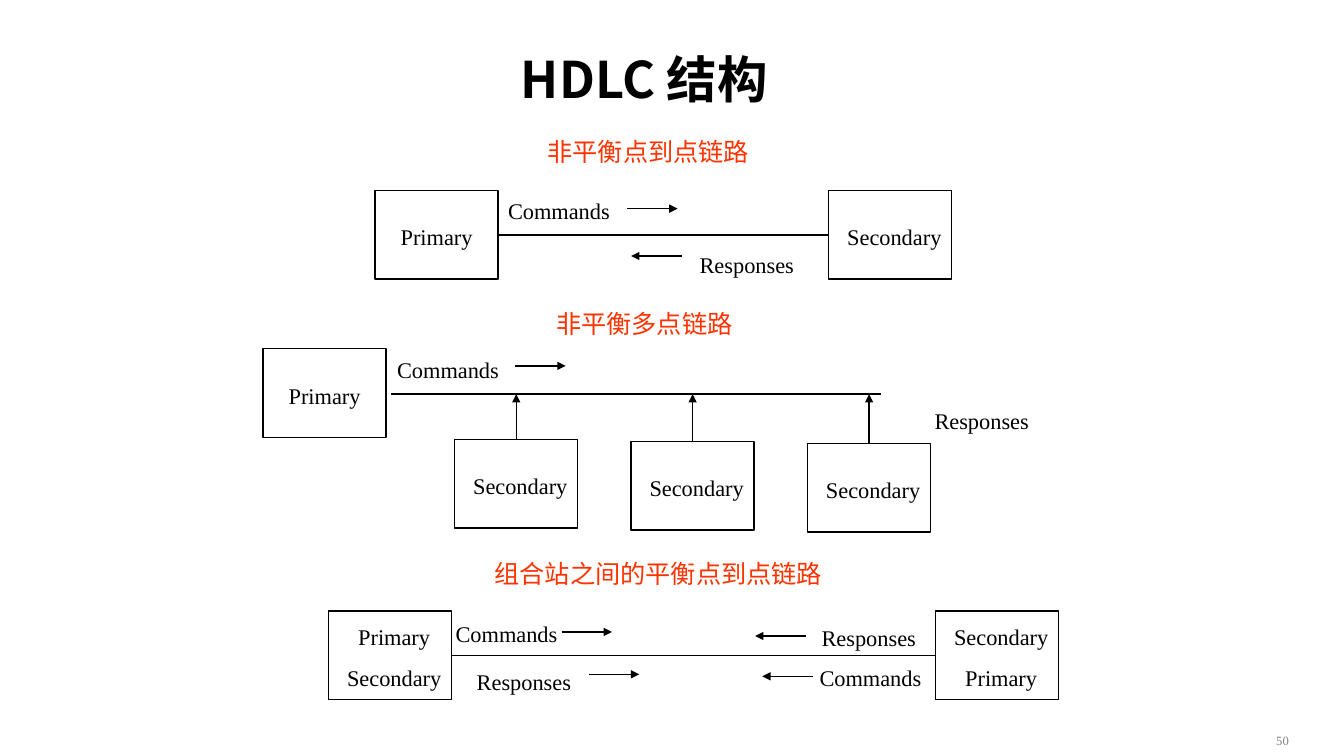
from lxml import etree
from pptx import Presentation
from pptx.dml.color import RGBColor
from pptx.enum.shapes import MSO_CONNECTOR, MSO_SHAPE
from pptx.enum.text import MSO_ANCHOR, PP_ALIGN
from pptx.oxml.ns import qn
from pptx.util import Inches, Pt

STRAIGHT = MSO_CONNECTOR.STRAIGHT
RECTANGLE = MSO_SHAPE.RECTANGLE
MIDDLE = MSO_ANCHOR.MIDDLE
LEFT, CENTER = PP_ALIGN.LEFT, PP_ALIGN.CENTER
SERIF, SANS = "Times New Roman", "Noto Sans CJK SC"
BLACK, RED, GRAY = "000000", "FF3300", "808080"
BOX_W, BOX_H = 1.22, 0.88
ARROW = 0.5
TOP, SIDE_LEFT, BOTTOM, SIDE_RIGHT = range(4)


def color(value):
    """Turn a hex string into a colour."""
    return RGBColor.from_string(value)


def style(p, size, fill=BLACK, font=SERIF, bold=False, align=LEFT):
    """Format a paragraph and its runs, Chinese glyphs included."""
    p.alignment = align
    for r in p.runs:
        r.font.size = Pt(size)
        r.font.bold = bold
        r.font.name = font
        r.font.color.rgb = color(fill)
        ea = etree.SubElement(r._r.get_or_add_rPr(), qn("a:ea"))
        ea.set("typeface", SANS)


def add_text(s, x, y, w, h, text, size, **look):
    """Add one line of unwrapped text."""
    tf = s.shapes.add_textbox(Inches(x), Inches(y), Inches(w), Inches(h)).text_frame
    tf.word_wrap = False
    tf.text = text
    style(tf.paragraphs[0], size, **look)


def add_label(s, x, y, text):
    """Add the label of a message flow."""
    add_text(s, x, y, 1.22 if text == "Commands" else 1.15, 0.37, text, 16)


def add_caption(s, center, y, text):
    """Add the red heading of a link type, centred on a point."""
    w = 4
    add_text(s, center - w / 2, y, w, 0.4, text, 18, fill=RED, align=CENTER)


def add_station(s, x, y, *roles):
    """Add a station box naming its roles."""
    sp = s.shapes.add_shape(RECTANGLE, Inches(x), Inches(y), Inches(BOX_W), Inches(BOX_H))
    sp.shadow.inherit = False
    sp.fill.background()
    sp.line.color.rgb = color(BLACK)
    sp.line.width = Pt(1)
    tf = sp.text_frame
    tf.word_wrap = False
    tf.vertical_anchor = MIDDLE
    tf.margin_left = Inches(0.08 if "Secondary" in roles else 0)
    tf.margin_top = Inches(0.04)
    tf.margin_right = tf.margin_bottom = 0
    tf.text = "\n".join(roles)
    for i, p in enumerate(tf.paragraphs):
        style(p, 16, align=CENTER)
        if i:
            p.space_before = Pt(10.5)
    return sp


def add_line(s, x1, y1, x2, y2, arrow=False):
    """Add a thin line, with an arrowhead at its end if wanted."""
    line = s.shapes.add_connector(STRAIGHT, Inches(x1), Inches(y1), Inches(x2), Inches(y2))
    line.line.color.rgb = color(BLACK)
    line.line.width = Pt(1)
    if arrow:
        etree.SubElement(line.line._get_or_add_ln(), qn("a:tailEnd")).set("type", "triangle")
    etree.SubElement(line._element.spPr, qn("a:effectLst"))
    return line


def add_arrow(s, x, y, step=ARROW):
    """Add a short horizontal arrow; a negative step points left."""
    add_line(s, x, y, x + step, y, arrow=True)


def join_stations(s, first, second):
    """Link the facing sides of two stations."""
    line = add_line(s, 0, 0, 1, 0)
    line.begin_connect(first, SIDE_RIGHT)
    line.end_connect(second, SIDE_LEFT)


def add_title(s, x, y, w, h, text):
    """Fill and place the title."""
    sp = s.shapes.title
    sp.left, sp.top, sp.width, sp.height = Inches(x), Inches(y), Inches(w), Inches(h)
    tf = sp.text_frame
    tf.text = text
    tf.vertical_anchor = MIDDLE
    style(tf.paragraphs[0], 36, font=SANS, bold=True, align=CENTER)


def add_point_to_point(s, x, y, w):
    """Draw the unbalanced point-to-point link."""
    add_caption(s, x + 2.71, y, "非平衡点到点链路")
    primary = add_station(s, x, y + 0.59, "Primary")
    secondary = add_station(s, x + w - BOX_W, y + 0.59, "Secondary")
    join_stations(s, primary, secondary)
    add_label(s, x + BOX_W, y + 0.61, "Commands")
    add_arrow(s, x + 2.5, y + 0.77)
    add_label(s, x + 3.12, y + 1.14, "Responses")
    add_arrow(s, x + 3.04, y + 1.24, -ARROW)


def add_multipoint(s, x, y, w):
    """Draw the unbalanced multipoint link."""
    bus_y = y + 0.9
    add_caption(s, x + 3.78, y, "非平衡多点链路")
    add_station(s, x, y + 0.45, "Primary")
    add_label(s, x + 1.23, y + 0.47, "Commands")
    add_arrow(s, x + 2.5, y + 0.62)
    add_line(s, x + 1.27, bus_y, x + 6.13, bus_y)
    for i in range(3):
        left = x + 1.9 + 1.75 * i
        secondary = add_station(s, left, y + 1.35 + 0.02 * i, "Secondary")
        middle = left + BOX_W / 2
        riser = add_line(s, middle, y + 1.35, middle, bus_y, arrow=True)
        riser.begin_connect(secondary, TOP)
    add_label(s, x + w - 1.15, y + 0.98, "Responses")


def add_balanced(s, x, y, w):
    """Draw the balanced link between combined stations."""
    add_caption(s, x + 3.27, y, "组合站之间的平衡点到点链路")
    near = add_station(s, x, y + 0.57, "Primary", "Secondary")
    far = add_station(s, x + w - BOX_W, y + 0.57, "Secondary", "Primary")
    join_stations(s, near, far)
    flows = [
        (1.16, 0.61, "Commands", 2.31, 0.78, ARROW),
        (1.37, 1.09, "Responses", 2.58, 1.2, ARROW),
        (4.79, 0.65, "Responses", 4.73, 0.82, -ARROW),
        (4.77, 1.05, "Commands", 4.8, 1.22, -ARROW),
    ]
    for label_x, label_y, text, arrow_x, arrow_y, step in flows:
        add_label(s, x + label_x, y + label_y, text)
        add_arrow(s, x + arrow_x, y + arrow_y, step)


def main():
    """Build the slide and save it."""
    prs = Presentation()
    prs.slide_width, prs.slide_height = Inches(13.33), Inches(7.5)
    s = prs.slides.add_slide(prs.slide_layouts[5])
    add_title(s, 1.67, 0.43, 9.44, 0.7, "HDLC 结构")
    add_point_to_point(s, 3.72, 1.3, 5.72)
    add_multipoint(s, 2.61, 3.01, 7.71)
    add_balanced(s, 3.26, 5.49, 7.24)
    add_text(s, 12.56, 7.22, 0.33, 0.24, "50", 9, fill=GRAY)
    prs.save("out.pptx")


if __name__ == "__main__":
    main()
